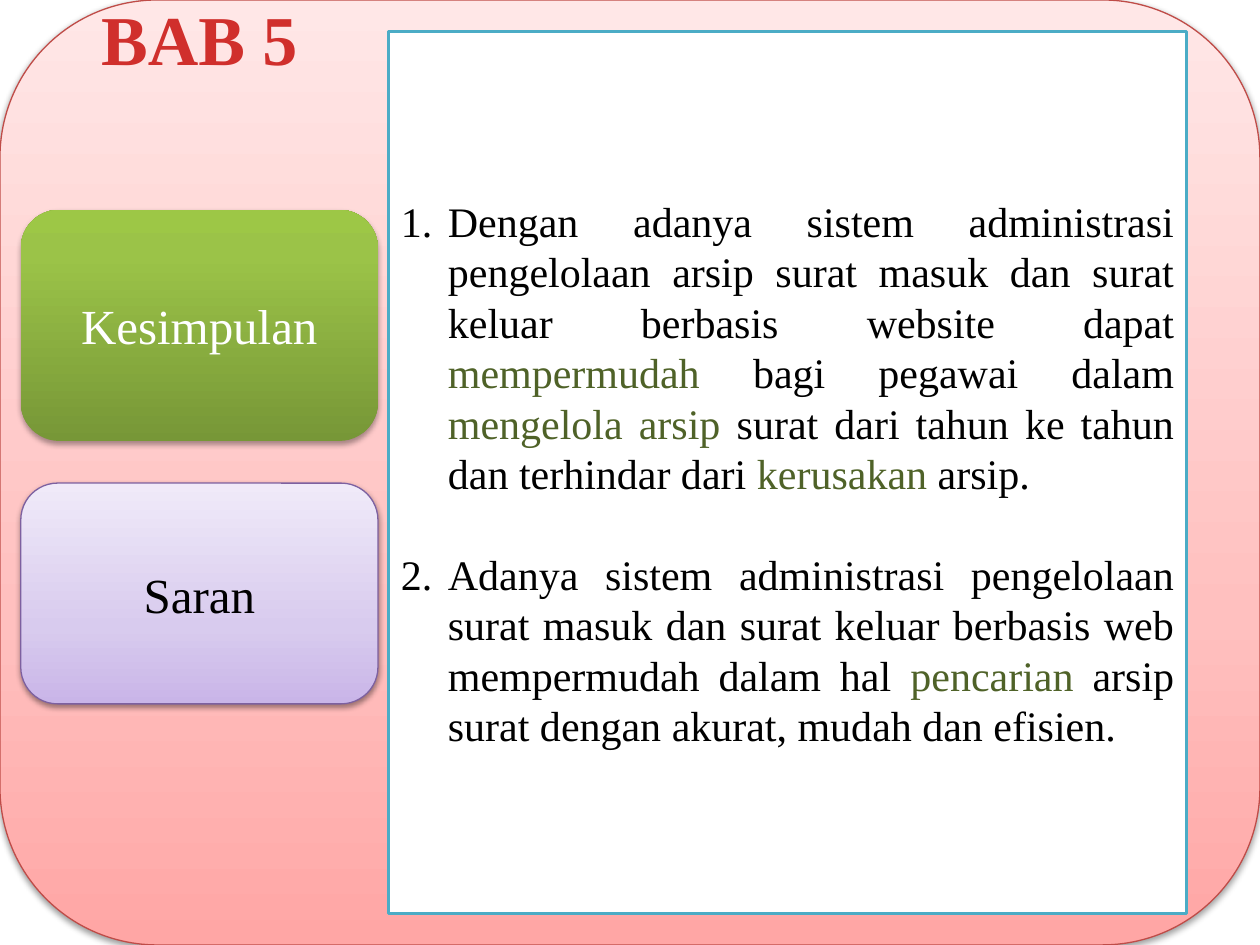
from dataclasses import dataclass
from typing import Optional

from lxml.etree import SubElement
from pptx import Presentation
from pptx.dml.color import RGBColor
from pptx.enum.shapes import MSO_SHAPE as Shape
from pptx.enum.text import MSO_ANCHOR as Anchor, PP_ALIGN as Align
from pptx.oxml.ns import qn
from pptx.util import Cm, Pt

FONT = "Times New Roman"
COLORS = {
    "white": "FFFFFF",
    "black": "000000",
    "title": "D02F2C",
    "highlight": "4F6228",
    "panel_line": "4BACC6",
    "red_line": "BF4C48",
    "purple_line": "7D60A0",
}
# Gradient stops run from the bottom edge to the top edge.
RED = ((0, "FFA6A5"), (35, "FFC0BF"), (100, "FFE7E7"))
GREEN = ((0, "779737"), (80, "9BC348"), (100, "9DC746"))
PURPLE = ((0, "C9B5E8"), (35, "D8CBEE"), (100, "F0EAF9"))

# Each conclusion is a list of (text, colour) runs.
CONCLUSIONS = [
    [
        ("Dengan adanya sistem administrasi pengelolaan arsip surat masuk dan "
         "surat keluar berbasis website dapat ", "black"),
        ("mempermudah ", "highlight"),
        ("bagi pegawai dalam ", "black"),
        ("mengelola arsip ", "highlight"),
        ("surat dari tahun ke tahun dan terhindar dari ", "black"),
        ("kerusakan ", "highlight"),
        ("arsip.", "black"),
    ],
    [
        ("Adanya sistem administrasi pengelolaan surat masuk dan surat keluar "
         "berbasis web mempermudah dalam hal ", "black"),
        ("pencarian ", "highlight"),
        ("arsip surat dengan akurat, mudah dan efisien.", "black"),
    ],
]


@dataclass
class Card:
    left: float
    top: float
    width: float
    height: float
    stops: tuple
    line: Optional[str] = None
    shadow_alpha: int = 38
    shadow_distance: float = 1.6
    text: str = ""
    text_color: str = "black"


CARDS = [
    Card(0, 0, 25.4, 19.05, RED, line="red_line"),
    Card(0.42, 4.23, 7.2, 4.66, GREEN, shadow_alpha=35, shadow_distance=1.8,
         text="Kesimpulan", text_color="white"),
    Card(0.42, 9.74, 7.2, 4.45, PURPLE, line="purple_line", text="Saran"),
]


def rgb(name: str) -> RGBColor:
    return RGBColor.from_string(COLORS[name])


def add_run(paragraph, text: str, *, size: float, color: str, bold: bool = False) -> None:
    run = paragraph.add_run()
    run.text = text
    run.font.name = FONT
    run.font.size = Pt(size)
    run.font.bold = bold
    run.font.color.rgb = rgb(color)


def set_gradient(shape, stops: tuple) -> None:
    shape.fill.gradient()
    shape.fill.gradient_angle = 90
    stop_list = shape._element.spPr.find(qn("a:gradFill")).find(qn("a:gsLst"))
    for stop in list(stop_list):
        stop_list.remove(stop)
    for position, color in stops:
        stop = SubElement(stop_list, qn("a:gs"), pos=str(position * 1000))
        SubElement(stop, qn("a:srgbClr"), val=color)


def set_shadow(shape, alpha: int, distance: float) -> None:
    shape.shadow.inherit = False
    effects = shape._element.spPr.find(qn("a:effectLst"))
    shadow = SubElement(effects, qn("a:outerShdw"), blurRad=str(Pt(3.1)),
                        dist=str(Pt(distance)), dir="5400000", rotWithShape="0")
    color = SubElement(shadow, qn("a:srgbClr"), val=COLORS["black"])
    SubElement(color, qn("a:alpha"), val=str(alpha * 1000))


def set_line(shape, color: Optional[str], width: float) -> None:
    if color is None:
        shape.line.fill.background()
        return
    shape.line.color.rgb = rgb(color)
    shape.line.width = Pt(width)


def add_card(slide, card: Card) -> None:
    shape = slide.shapes.add_shape(Shape.ROUNDED_RECTANGLE, Cm(card.left), Cm(card.top),
                                   Cm(card.width), Cm(card.height))
    set_gradient(shape, card.stops)
    set_line(shape, card.line, 0.75)
    set_shadow(shape, card.shadow_alpha, card.shadow_distance)
    if card.text:
        shape.text_frame.vertical_anchor = Anchor.MIDDLE
        paragraph = shape.text_frame.paragraphs[0]
        paragraph.alignment = Align.CENTER
        add_run(paragraph, card.text, size=28, color=card.text_color)


def add_title(slide, text: str) -> None:
    box = slide.shapes.add_textbox(Cm(1.69), Cm(-0.21), Cm(4.66), Cm(1.97))
    box.text_frame.word_wrap = True
    paragraph = box.text_frame.paragraphs[0]
    paragraph.alignment = Align.CENTER
    add_run(paragraph, text, size=40, color="title", bold=True)


def number_paragraph(paragraph) -> None:
    """Give the paragraph a hanging automatic number."""
    indent = Cm(0.95)
    properties = paragraph._p.get_or_add_pPr()
    properties.set("marL", str(indent))
    properties.set("indent", str(-indent))
    SubElement(properties, qn("a:buFont"), typeface="+mj-lt")
    SubElement(properties, qn("a:buAutoNum"), type="arabicPeriod")


def add_conclusion_panel(slide, conclusions: list) -> None:
    panel = slide.shapes.add_shape(Shape.RECTANGLE, Cm(7.83), Cm(0.64), Cm(16.09), Cm(17.78))
    panel.shadow.inherit = False
    panel.fill.solid()
    panel.fill.fore_color.rgb = rgb("white")
    set_line(panel, "panel_line", 2)
    frame = panel.text_frame
    frame.vertical_anchor = Anchor.MIDDLE
    line_height = Pt(28.8)
    for index, runs in enumerate(conclusions):
        paragraph = frame.add_paragraph() if index else frame.paragraphs[0]
        paragraph.alignment = Align.JUSTIFY
        paragraph.line_spacing = line_height
        paragraph.space_before = line_height if index else Pt(0)
        number_paragraph(paragraph)
        for text, color in runs:
            add_run(paragraph, text, size=24, color=color)


def main() -> None:
    presentation = Presentation()
    presentation.slide_width = Cm(25.4)
    presentation.slide_height = Cm(19.05)
    slide = presentation.slides.add_slide(presentation.slide_layouts[6])
    for card in CARDS:
        add_card(slide, card)
    add_title(slide, "BAB 5")
    add_conclusion_panel(slide, CONCLUSIONS)
    presentation.save("out.pptx")


if __name__ == "__main__":
    main()
